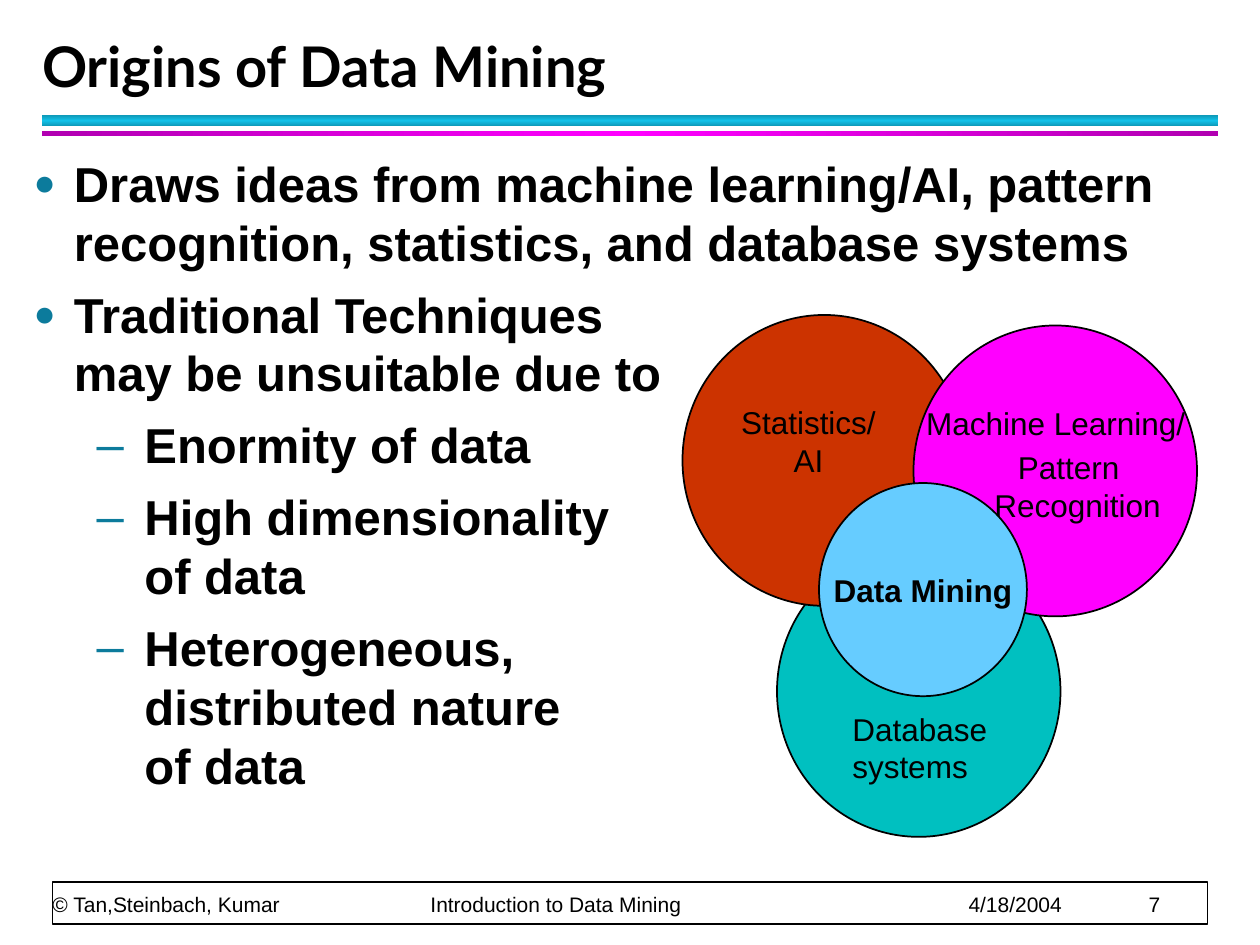
from copy import deepcopy
from lxml.etree import SubElement as Sub
from pptx import Presentation
from pptx.dml.color import RGBColor as RGB
from pptx.enum.shapes import MSO_SHAPE as Kind
from pptx.enum.text import MSO_ANCHOR as Anchor, MSO_AUTO_SIZE as Fit, PP_ALIGN as Align
from pptx.oxml.ns import qn
from pptx.util import Inches, Pt

BLACK = RGB(0, 0, 0)
WHITE = RGB(255, 255, 255)
CYAN = RGB(0x12, 0xC2, 0xE9)
DEEP = RGB(0x0E, 0x9A, 0xB9)
PINK = RGB(0xFF, 0x00, 0xFF)
PLUM = RGB(0xB1, 0x00, 0xB1)
TEAL = RGB(0x00, 0xC0, 0xC0)
RUST = RGB(0xCC, 0x33, 0x00)
SKY = RGB(0x66, 0xCC, 0xFF)
MARK = RGB(0x0C, 0x7B, 0x9C)

COLS, ROWS = 120, 90
LABEL = dict(size=Pt(18), name="Arial", bold=False)
STRONG = dict(LABEL, bold=True)
SMALL = dict(LABEL, size=Pt(12))
HEAD = dict(size=Pt(32), name="Lato", bold=True)
LIST = dict(STRONG, size=Pt(28))
SIDES = ("margin_left", "margin_top", "margin_right", "margin_bottom")


def put(obj, style):
    for key, val in style.items():
        setattr(obj, key, val)


class Deck:
    def __init__(self):
        self.prs = Presentation()
        self.prs.slide_width, self.prs.slide_height = Inches(10), Inches(7.5)
        self.slide = self.prs.slides.add_slide(self.prs.slide_layouts[1])
        self.shapes = self.slide.shapes

    def area(self, x, y, w, h):
        dx, dy = self.prs.slide_width / COLS, self.prs.slide_height / ROWS
        return [int(v) for v in (x * dx, y * dy, w * dx, h * dy)]

    def move(self, item, spot):
        put(item, dict(zip(("left", "top", "width", "height"), self.area(*spot))))

    def frame(self, item, pads=(0.1, 0.05), **style):
        frame = item.text_frame
        put(frame, dict(zip(SIDES, [Inches(p) for p in pads * 2])))
        put(frame, dict(word_wrap=True, auto_size=Fit.NONE) | style)
        return frame

    def para(self, para, text, font, **style):
        para.text = text
        put(para, style)
        for run in para.runs:
            put(run.font, font)
            run.font.color.rgb = BLACK
        for gap in para._p.findall(qn("a:br")):
            gap.insert(0, deepcopy(para.runs[0]._r.rPr))

    def fill(self, frame, lines):
        for i, (text, font, style) in enumerate(lines):
            para = frame.add_paragraph() if i else frame.paragraphs[0]
            self.para(para, text, font, **style)

    def text(self, spot, lines, **style):
        box = self.shapes.add_textbox(*self.area(*spot))
        frame = self.frame(box, **style)
        self.fill(frame, lines)
        return frame

    def shape(self, kind, spot, color):
        item = self.shapes.add_shape(kind, *self.area(*spot))
        item.shadow.inherit = False
        item.fill.solid()
        item.fill.fore_color.rgb = color
        item.line.color.rgb = BLACK
        item.line.width = Pt(1)
        return item

    def band(self, spot, edge, mid, angle):
        item = self.shape(Kind.RECTANGLE, spot, mid)
        item.line.fill.background()
        item.fill.gradient()
        item.fill.gradient_angle = angle
        stops = item._element.spPr.find(".//" + qn("a:gsLst"))
        stops.insert(1, deepcopy(stops[0]))
        for stop, pos, color in zip(item.fill.gradient_stops, (0, 0.5, 1), (edge, mid, edge)):
            stop.position = pos
            stop.color.rgb = color

    def title(self, text, spot):
        item = self.shapes.title
        self.move(item, spot)
        frame = self.frame(item, (0, 0.05), vertical_anchor=Anchor.BOTTOM)
        self.para(frame.paragraphs[0], text, HEAD, alignment=Align.LEFT, line_spacing=Pt(36))

    def bullet(self, para):
        sign, left, hang, size = (("●", 0.32, 0.32, 75), ("–", 0.88, 0.38, 100))[para.level]
        props = para._p.get_or_add_pPr()
        props.set("marL", str(Inches(left)))
        props.set("indent", str(-Inches(hang)))
        Sub(Sub(props, qn("a:buClr")), qn("a:srgbClr"), val=str(MARK))
        Sub(props, qn("a:buSzPct"), val=str(size * 1000))
        Sub(props, qn("a:buFont"), typeface="Arial")
        Sub(props, qn("a:buChar"), char=sign)

    def body(self, items, spot):
        item = self.slide.placeholders[1]
        self.move(item, spot)
        frame = self.frame(item)
        gaps = dict(space_before=Pt(3.5), space_after=Pt(4))
        self.fill(frame, [(text, LIST, dict(gaps, level=level)) for level, text in items])
        for para in frame.paragraphs:
            self.bullet(para)

    def footer(self, spot, parts, stops):
        line = ("\t".join(parts), SMALL, dict(line_spacing=Pt(20)))
        frame = self.text(spot, [line], pads=(0, 0), vertical_anchor=Anchor.BOTTOM)
        tabs = Sub(frame.paragraphs[0]._p.get_or_add_pPr(), qn("a:tabLst"))
        for stop in stops:
            Sub(tabs, qn("a:tab"), pos=str(Inches(stop)), algn="l")


def main():
    deck = Deck()
    deck.shape(Kind.RECTANGLE, (5, 84, 110, 4), WHITE)
    parts = ("© Tan,Steinbach, Kumar", "Introduction to Data Mining", "4/18/2004", "7")
    deck.footer((5, 80.6, 109.8, 6.7), parts, (3, 7.27, 8.7))
    deck.band((4, 11, 112, 1), DEEP, CYAN, 90)
    deck.band((4, 12.5, 112, 0.5), PLUM, PINK, 0)
    deck.title("Origins of Data Mining", (4, 3, 108.7, 7))
    deck.body([
        (0, "Draws ideas from machine learning/AI, pattern recognition, statistics, and database systems"),
        (0, "Traditional Techniques\vmay be unsuitable due to"),
        (1, "Enormity of data"),
        (1, "High dimensionality \vof data"),
        (1, "Heterogeneous, \vdistributed nature \vof data"),
    ], (2, 14, 116, 72))

    for x, y, color in ((74, 52, TEAL), (65, 30, RUST), (87, 31, PINK)):
        deck.shape(Kind.OVAL, (x, y, 27, 27.7), color)
    top = dict(space_before=Pt(11.2))
    mid = dict(alignment=Align.CENTER)
    deck.text((88.2, 37.9, 28, 12.6), [
        ("Machine Learning/", LABEL, top),
        ("Pattern \v Recognition", LABEL, dict(mid, space_before=Pt(3.4))),
    ], pads=(0, 0.05))
    deck.text((68, 37.8, 18, 8.4), [("Statistics/\vAI", LABEL, top | mid)])
    core = deck.shape(Kind.OVAL, (78, 46, 19.8, 20.3), SKY)
    frame = deck.frame(core, word_wrap=False, vertical_anchor=Anchor.MIDDLE)
    deck.fill(frame, [("Data Mining", STRONG, mid)])
    deck.text((80, 67, 19, 8.4), [("Database systems", LABEL, top)])
    deck.prs.save("out.pptx")


if __name__ == "__main__":
    main()
